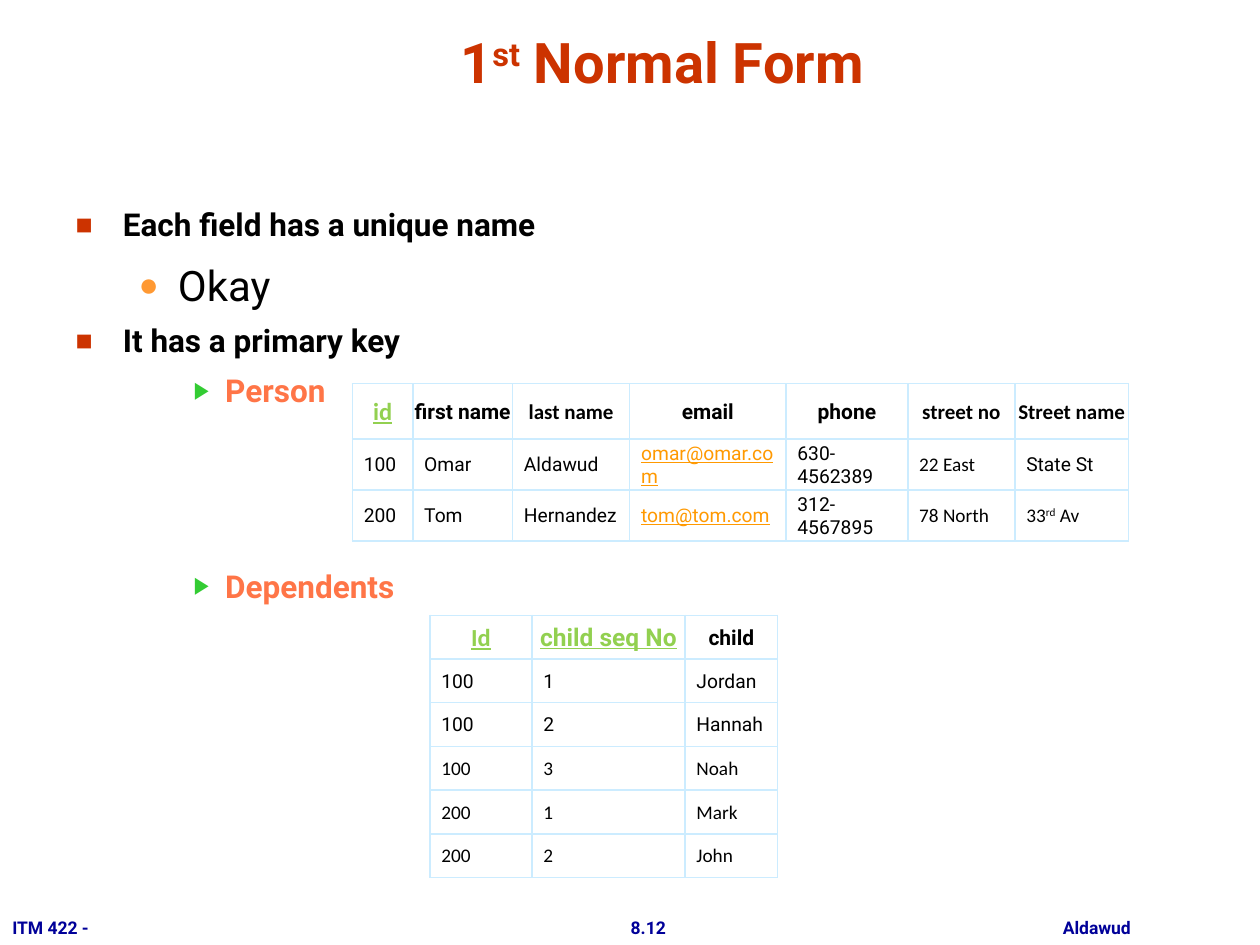
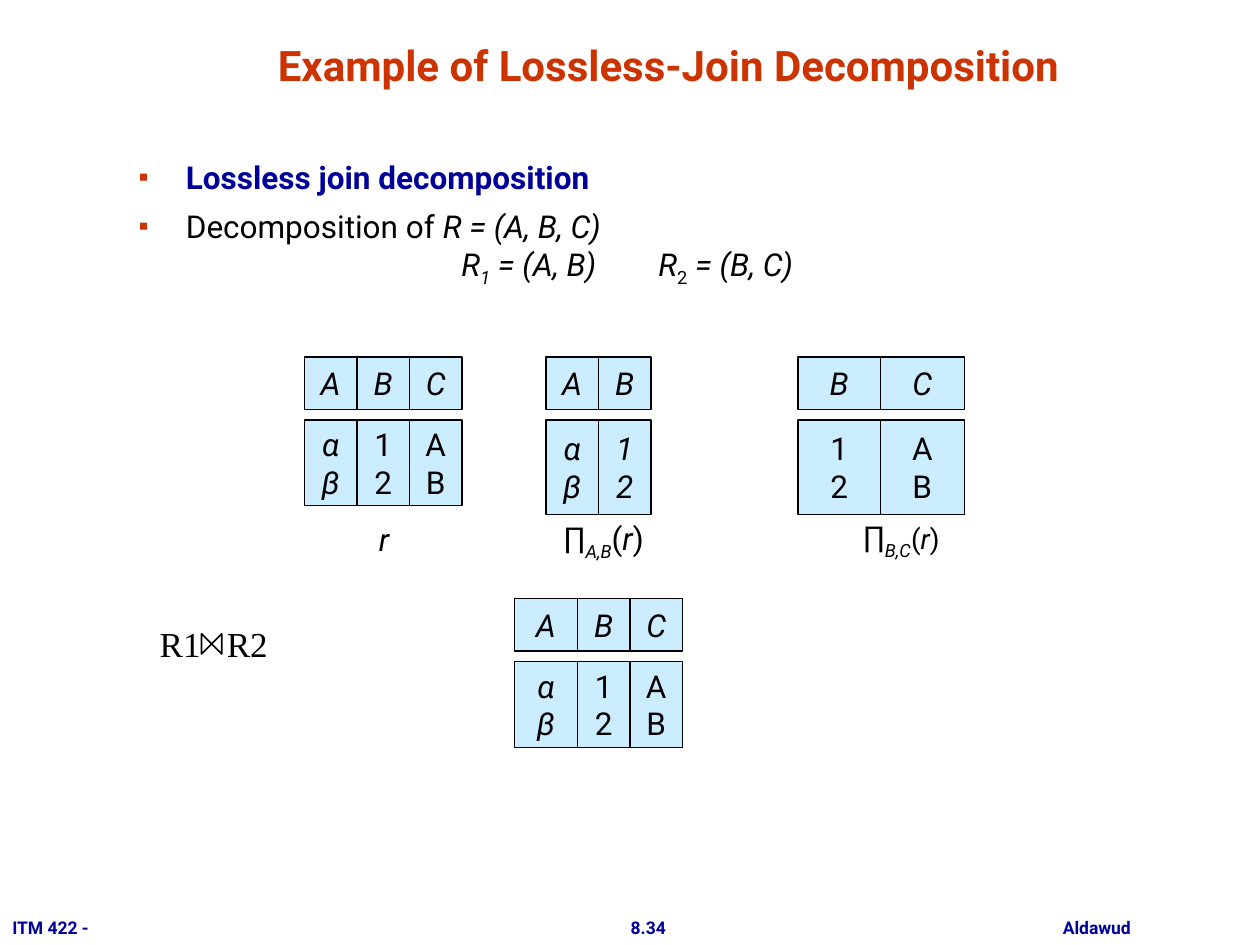
from copy import deepcopy
from functools import partial

from lxml.etree import SubElement
from pptx import Presentation
from pptx.dml.color import RGBColor
from pptx.enum.shapes import MSO_SHAPE
from pptx.enum.text import MSO_ANCHOR, MSO_AUTO_SIZE, PP_ALIGN
from pptx.oxml.ns import qn
from pptx.util import Pt

COLORS = {
    "title": "CC3300", "text": "000000", "navy": "000099", "white": "FFFFFF",
    "orange": "FF9933", "green": "33CC33", "coral": "FF7547",
    "key": "92D050", "mail": "FF9900", "cell": "CCECFF",
}
ROBOTO, CALIBRI, TIMES = "Roboto", "Calibri", "Times New Roman"
CENTER = PP_ALIGN.CENTER


def rgb(name):
    return RGBColor.from_string(COLORS[name])


# Text: a span is a text with its format, a paragraph is a list of spans
def span(text, **form):
    return text, form


italic = partial(span, italic=True)
item = partial(span, size=11)
mail = partial(item, color="mail", underline=True)
head = partial(span, size=12, bold=True)
key = partial(span, size=14, bold=True, underline=True, color="key")


def add_span(para, text, size=18, font=ROBOTO, color="text", bold=False,
             italic=False, underline=False, baseline=0):
    """Add one run; a leading line feed becomes a line break."""
    starts_line = text.startswith("\n")
    if starts_line:
        para.add_line_break()
    run = para.add_run()
    run.text = text.lstrip("\n")
    run.font.size, run.font.name = Pt(size), font
    run.font.bold, run.font.italic = bold, italic
    run.font.underline = underline
    run.font.color.rgb = rgb(color)
    properties = run._r.get_or_add_rPr()
    if baseline:
        properties.set("baseline", str(baseline * 1000))
    if starts_line:
        para._p.findall(qn("a:br"))[-1].insert(0, deepcopy(properties))


def write(frame, paragraphs, align=None, anchor=None, wrap=True):
    """Fill a text frame and return its paragraphs."""
    frame.auto_size = MSO_AUTO_SIZE.NONE
    frame.word_wrap = wrap
    if anchor is not None:
        frame.vertical_anchor = anchor
    for number, spans in enumerate(paragraphs):
        para = frame.add_paragraph() if number else frame.paragraphs[0]
        para.alignment = align
        for text, form in spans:
            add_span(para, text, **form)
    return frame.paragraphs


def set_tabs(para, stops):
    tabs = SubElement(para._p.get_or_add_pPr(), qn("a:tabLst"))
    for stop in stops:
        SubElement(tabs, qn("a:tab"), pos=str(Pt(stop)), algn="l")


def set_bullet(para, char, color, percent, margin, hang, level=0, before=6.8):
    para.level = level
    para.space_before = Pt(before)
    properties = para._p.get_or_add_pPr()
    properties.set("marL", str(Pt(margin)))
    properties.set("indent", str(Pt(-hang)))
    tint = SubElement(properties, qn("a:buClr"))
    SubElement(tint, qn("a:srgbClr"), val=COLORS[color])
    SubElement(properties, qn("a:buSzPct"), val=str(percent * 1000))
    SubElement(properties, qn("a:buChar"), char=char)


square = partial(set_bullet, char="■", color="title", percent=90, margin=27, hang=27)
small_square = partial(square, char="▪")
dot = partial(set_bullet, char="●", color="orange", percent=80, margin=58.5,
              hang=22.5, level=1, before=9.1)
arrow = partial(set_bullet, char="▶", color="green", percent=75, margin=85.5,
                hang=18, level=2)


# Elements
def place(shape, left, top, width, height):
    shape.left, shape.top = Pt(left), Pt(top)
    shape.width, shape.height = Pt(width), Pt(height)


def add_text(page, area, spans, **form):
    box = page.shapes.add_textbox(*map(Pt, area))
    return write(box.text_frame, [spans], **form)[0]


def add_page(deck, number, title, title_area, body, body_area):
    """Add a slide with title, body and the common footer."""
    page = deck.slides.add_slide(deck.slide_layouts[1])
    place(page.shapes.title, *title_area)
    write(page.shapes.title.text_frame, [title], CENTER, MSO_ANCHOR.BOTTOM)
    place(page.placeholders[1], *body_area)
    paragraphs = write(page.placeholders[1].text_frame, body, anchor=MSO_ANCHOR.TOP)
    for left, width, text, align in [(0, 60.5, "ITM 422 -", None),
                                     (352.8, 35.3, number, CENTER),
                                     (598.3, 56.9, "Aldawud", CENTER)]:
        add_text(page, (left, 520.6, width, 19.4),
                 [span(text, size=10, bold=True, color="navy")],
                 align=align, wrap=False)
    return page, paragraphs


def add_borders(cell):
    properties = cell._tc.get_or_add_tcPr()
    for side in ("lnL", "lnR", "lnT", "lnB"):
        line = SubElement(properties, qn("a:" + side), w=str(Pt(1)))
        fill = SubElement(line, qn("a:solidFill"))
        SubElement(fill, qn("a:srgbClr"), val=COLORS["cell"])


def add_grid(page, left, top, widths, heights, rows):
    """Add a bordered table whose first row is a centred header."""
    table = page.shapes.add_table(
        len(rows), len(widths), Pt(left), Pt(top),
        Pt(sum(widths)), Pt(sum(heights))).table
    table.first_row = table.horz_banding = False
    for column, width in zip(table.columns, widths):
        column.width = Pt(width)
    for number, (row, height, entries) in enumerate(zip(table.rows, heights, rows)):
        row.height = Pt(height)
        for cell, entry in zip(row.cells, entries):
            add_borders(cell)
            cell.fill.solid()
            cell.fill.fore_color.rgb = rgb("white")
            cell.margin_left = Pt(6.5 if number else 0.7)
            cell.margin_top = cell.margin_right = Pt(0.7)
            cell.margin_bottom = 0
            cell.vertical_anchor = MSO_ANCHOR.MIDDLE
            para = cell.text_frame.paragraphs[0]
            para.alignment = None if number else CENTER
            for text, form in entry if isinstance(entry, list) else [entry]:
                add_span(para, text, **form)


def add_box(page, area, lines, slanted):
    box = page.shapes.add_shape(MSO_SHAPE.RECTANGLE, *map(Pt, area))
    box.shadow.inherit = False
    box.fill.solid()
    box.fill.fore_color.rgb = rgb("cell")
    box.line.color.rgb = rgb("text")
    box.line.width = Pt(0.75)
    write(box.text_frame, [[span(line, italic=slanted)] for line in lines],
          CENTER, MSO_ANCHOR.MIDDLE, wrap=False)


def add_relation(page, left, top, widths, height, names, columns, slanted):
    """Add a relation: header boxes, a gap, and one value box per column."""
    for width, name, values, lean in zip(widths, names, columns, slanted):
        add_box(page, (left, top, width, 30), name, True)
        add_box(page, (left, top + 36, width, height), values, lean)
        left += width


def add_bowtie(page, left, top, size):
    right, bottom = left + size, top + size
    outline = page.shapes.build_freeform(Pt(left), Pt(top))
    outline.add_line_segments(
        [(Pt(x), Pt(y)) for x, y in [(left, bottom), (right, top), (right, bottom)]],
        close=True)
    shape = outline.convert_to_shape()
    shape.shadow.inherit = False
    shape.fill.background()
    shape.line.color.rgb = rgb("text")
    shape.line.width = Pt(1)


# Slides
def add_normal_form(deck):
    big = partial(span, size=32, bold=True, color="title")
    strong = partial(span, bold=True)
    page, paragraphs = add_page(
        deck, "8.12",
        [big("1"), big("st", baseline=30), big(" Normal Form")],
        (60.5, 9.4, 635.8, 48.2),
        [[strong("Each field has a unique name")],
         [span("Okay", size=24)],
         [strong("It has a primary key")],
         [strong("Person", color="coral")],
         [strong("Dependents", color="coral")]],
        (36, 113.8, 648, 368.6))
    # The wide gap above "Dependents" makes room for the first table
    styles = [square, dot, square, arrow, partial(arrow, before=90)]
    for para, style in zip(paragraphs, styles):
        style(para)

    add_grid(page, 201.4, 219.3, [34.5, 57, 67, 89.3, 69.6, 61.2, 64.9],
             [31.7, 29.1, 29.1], [
        [key("id", font=CALIBRI), head("first name"),
         head("last name", font=CALIBRI), head("email"), head("phone"),
         head("street no", font=CALIBRI), head("Street name", font=CALIBRI)],
        [item("100"), item("Omar"), item("Aldawud"), mail("omar@omar.com"),
         item("630-4562389"), item("22 East", font=CALIBRI), item("State St")],
        [item("200"), item("Tom"), item("Hernandez"), mail("tom@tom.com"),
         item("312-4567895"), item("78 North", font=CALIBRI),
         [item("33", font=CALIBRI), item("rd", font=CALIBRI, baseline=30),
          item(" Av", font=CALIBRI)]]])

    children = [("100", "1", "Jordan", ROBOTO), ("100", "2", "Hannah", ROBOTO),
                ("100", "3", "Noah", CALIBRI), ("200", "1", "Mark", CALIBRI),
                ("200", "2", "John", CALIBRI)]
    rows = [[key("Id", font=CALIBRI), key("child seq No"), head("child")]]
    rows += [[item(text, font=font) for text in texts] for *texts, font in children]
    add_grid(page, 245.7, 351.6, [58.3, 87.5, 52.9], [25] * 6, rows)


def add_lossless_join(deck):
    page, paragraphs = add_page(
        deck, "8.34",
        [span("Example of Lossless-Join Decomposition", size=24, bold=True,
              color="title")],
        (46, 19, 672, 36),
        [[span("Lossless join decomposition", bold=True, color="navy")],
         [span("Decomposition of "), italic("R = (A, B, C)"), italic("\n\tR"),
          italic("1", baseline=-25), italic(" = (A, B)\tR"),
          span("2", baseline=-25), italic(" = (B, C)")]],
        (72, 86.4, 550.8, 95))
    for para in paragraphs:
        small_square(para)
        set_tabs(para, [184.5, 297])

    # Relations
    greek, digits, letters = "αβ", "12", "AB"
    whole = ("ABC", [greek, digits, letters], [True, False, False])
    add_relation(page, 174, 204, [30] * 3, 49, *whole)
    add_relation(page, 312, 204, [30] * 2, 54, "AB", [greek, digits], [True, True])
    add_relation(page, 456, 204, [47, 48], 54, "BC", [digits, letters], [False, False])
    add_relation(page, 294, 342, [36, 30, 30], 49, *whole)

    # Labels under the relations
    for area, subscript, size in [((294, 294.5, 102, 28.8), "A,B", 18),
                                  ((474, 293.8, 82, 28.8), "B,C", 16)]:
        add_text(page, area,
                 [span("∏"), italic(subscript, baseline=-25), span("(", size=size),
                  italic("r", size=size), span(")", size=size)],
                 align=CENTER, anchor=MSO_ANCHOR.MIDDLE)
    add_text(page, (209.5, 293.8, 20, 28.8), [italic("r")],
             align=CENTER, anchor=MSO_ANCHOR.MIDDLE, wrap=False)

    # Join expression, with the join sign between its two names
    para = add_text(page, (84.2, 352, 198, 68.4),
                    [span("R1\tR2", size=20, font=TIMES)])
    set_tabs(para, [38.3])
    add_bowtie(page, 115.2, 362.2, 11.5)


def main():
    deck = Presentation()
    deck.slide_width, deck.slide_height = Pt(720), Pt(540)
    add_normal_form(deck)
    add_lossless_join(deck)
    deck.save("out.pptx")


main()
